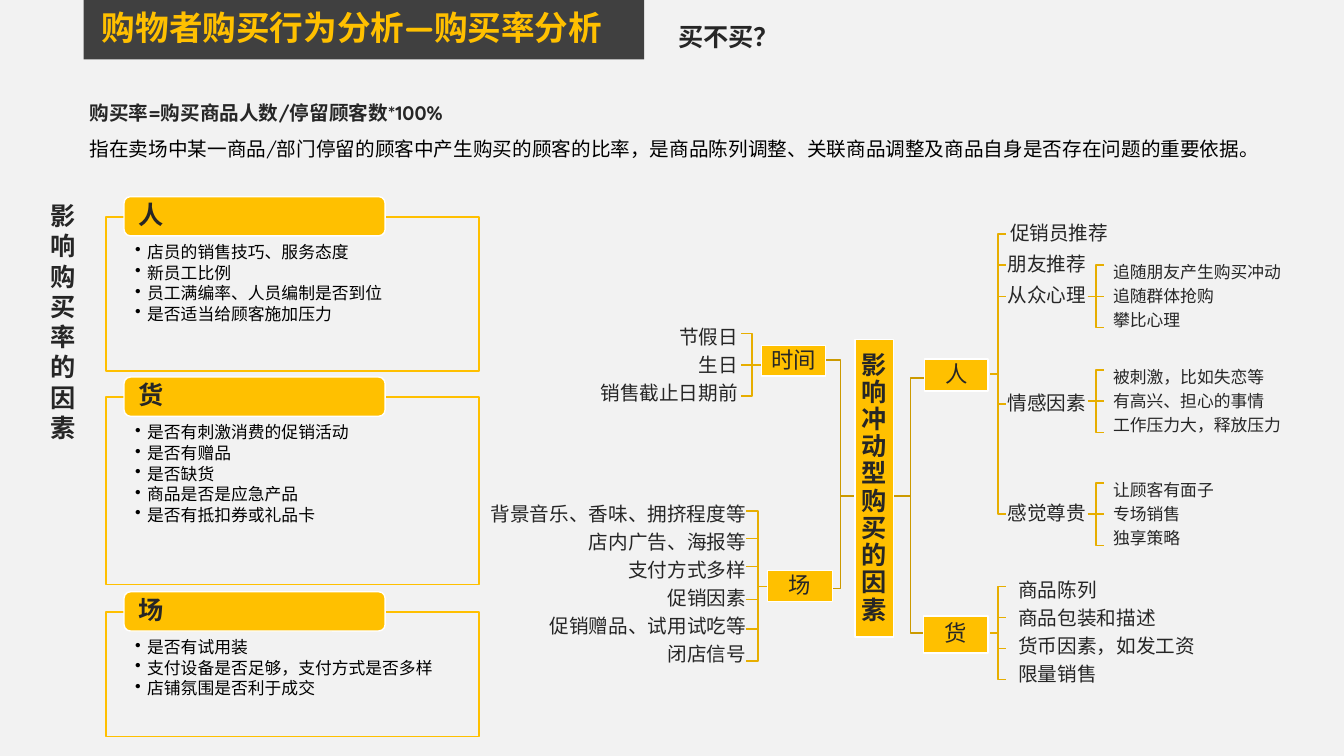
from dataclasses import dataclass

import pptx
import pptx.dml.color
import pptx.enum.shapes
import pptx.enum.text
import pptx.oxml
import pptx.oxml.ns
import pptx.util

ALIGN = pptx.enum.text.PP_ALIGN
ANCHOR = pptx.enum.text.MSO_ANCHOR
SHAPE = pptx.enum.shapes.MSO_SHAPE


@dataclass(frozen=True)
class Theme:
    font: str = "Quicksand"
    back: str = "F2F2F2"
    bar: str = "404040"
    gold: str = "FFC000"
    link: str = "CC9A00"
    twig: str = "E7AE00"
    white: str = "FFFFFF"
    ink: str = "262626"
    black: str = "000000"
    title: int = 24
    head: int = 18
    node: int = 16
    leaf: int = 14
    note: int = 12
    cell: float = 0.1  # inches per column and per row
    pad: tuple = (1, 0.5, 1, 0.5)
    slim: tuple = (0.1, 0.1, 0.1, 0.1)


def rgb(code):
    return pptx.dml.color.RGBColor.from_string(code)


class Board:
    def __init__(self, deck, theme):
        self.theme = theme
        self.slide = deck.slides.add_slide(deck.slide_layouts[5])
        self.shapes = self.slide.shapes
        fill = self.slide.background.fill
        fill.solid()
        fill.fore_color.rgb = rgb(theme.back)

    def size(self, *cells):
        """Turn columns or rows into lengths."""
        return [pptx.util.Inches(c * self.theme.cell) for c in cells]

    def label(self, shape, lines, size, bold=False, color=None, align=ALIGN.LEFT,
              anchor=ANCHOR.MIDDLE, pad=None, lead=0.9, after=0.35):
        """Set the lines; after is the gap below each as a share of the type size."""
        frame = shape.text_frame
        frame.word_wrap = True
        frame.vertical_anchor = anchor
        (frame.margin_left, frame.margin_top, frame.margin_right,
         frame.margin_bottom) = self.size(*(pad or self.theme.slim))
        frame.text = "\n".join(lines)
        for para in frame.paragraphs:
            para.alignment = align
            para.line_spacing = lead
            para.space_after = pptx.util.Pt(size * after)
            for run in para.runs:
                self.style(run, size, bold, color or self.theme.ink)
        return shape

    def style(self, run, size, bold, color):
        font = run.font
        font.size, font.bold = pptx.util.Pt(size), bold
        font.color.rgb = rgb(color)
        font.name = self.theme.font
        latin = run._r.rPr.find(pptx.oxml.ns.qn("a:latin"))
        latin.addnext(latin.makeelement(pptx.oxml.ns.qn("a:ea"),
                                        {"typeface": self.theme.font}))

    def text(self, at, lines, size, **look):
        return self.label(self.shapes.add_textbox(*self.size(*at)), lines, size, **look)

    def box(self, at, fill, line=None, width=1, kind=SHAPE.RECTANGLE):
        shape = self.shapes.add_shape(kind, *self.size(*at))
        shape.shadow.inherit = False
        shape.fill.solid()
        shape.fill.fore_color.rgb = rgb(fill)
        if line:
            shape.line.color.rgb = rgb(line)
            shape.line.width = pptx.util.Pt(width)
        else:
            shape.line.fill.background()
        return shape

    def title(self, at, text):
        shape = self.shapes.title
        shape.left, shape.top, shape.width, shape.height = self.size(*at)
        return self.label(shape, [text], self.theme.title, bold=True,
                          color=self.theme.gold, anchor=ANCHOR.TOP,
                          pad=self.theme.pad, after=0)

    def node(self, at, text, size, bold=False):
        shape = self.box(at, self.theme.gold, self.theme.white)
        return self.label(shape, [text], size, bold=bold, align=ALIGN.CENTER)

    def card(self, top, high, name, points, width):
        """Draw a frame of bullet points with a tag on its upper edge."""
        look = self.theme
        frame = self.box((10.5, top, 37, high), look.back, look.gold, width)
        self.label(frame, points, look.note, color=look.black, anchor=ANCHOR.TOP,
                   pad=(2.9, 2.7, 2.9, 0.9), after=0.15)
        dent = self.size(1.2)[0]
        for para in frame.text_frame.paragraphs:
            props = para._p.get_or_add_pPr()
            props.set("marL", str(dent))
            props.set("indent", str(-dent))
            mark = pptx.oxml.ns.qn("a:buChar")
            props.append(props.makeelement(mark, {"char": "•"}))
        tag = self.box((12.3, top - 2, 25.9, 3.9), look.gold, look.white,
                       kind=SHAPE.ROUNDED_RECTANGLE)
        self.label(tag, [name], look.head, bold=True, pad=(1.2, 0.2, 1.2, 0.2))

    def fork(self, x, y, end, rows, color, owner=None):
        """Branch from (x, y) to each row; owner is the box a straight twig joins."""
        mid = (x + end) / 2
        for row in rows:
            if row == y:
                line = self.shapes.add_connector(
                    pptx.enum.shapes.MSO_CONNECTOR.STRAIGHT, *self.size(x, y, end, y))
                if owner is not None:
                    line.begin_connect(owner, 3)
            else:
                elbow = self.shapes.build_freeform(*self.size(x, y))
                elbow.add_line_segments(
                    [self.size(*p) for p in ((mid, y), (mid, row), (end, row))], close=False)
                line = elbow.convert_to_shape()
                line.fill.background()
                line.shadow.inherit = False
            line.line.color.rgb = rgb(color)
            line.line.width = pptx.util.Pt(1)
            if row == y:
                props = line._element.spPr
                props.append(props.makeelement(pptx.oxml.ns.qn("a:effectLst")))


CARDS = [
    (21.5, 15.3, 1.5, "人", ["店员的销售技巧、服务态度", "新员工比例",
                           "员工满编率、人员编制是否到位", "是否适当给顾客施加压力"]),
    (39.4, 18.6, 1, "货", ["是否有刺激消费的促销活动", "是否有赠品", "是否缺货",
                         "商品是否是应急产品", "是否有抵扣券或礼品卡"]),
    (60.7, 12.4, 1, "场", ["是否有试用装", "支付设备是否足够，支付方式是否多样",
                         "店铺氛围是否利于成交"]),
]
PEOPLE = [
    (23.2, 10.5, "促销员推荐", []),
    (26.3, 8.1, "朋友推荐", []),
    (29.4, 8.1, "从众心理", ["追随朋友产生购买冲动", "追随群体抢购", "攀比心理"]),
    (40.1, 8.1, "情感因素", ["被刺激，比如失恋等", "有高兴、担心的事情", "工作压力大，释放压力"]),
    (51, 8.1, "感觉尊贵", ["让顾客有面子", "专场销售", "独享策略"]),
]
GOODS = ["商品陈列", "商品包装和描述", "货币因素，如发工资", "限量销售"]
TIMES = ["节假日", "生日", "销售截止日期前"]
PLACE = ["背景音乐、香味、拥挤程度等", "店内广告、海报等", "支付方式多样", "促销因素",
         "促销赠品、试用试吃等", "闭店信号"]


def main():
    deck = pptx.Presentation()
    deck.slide_width, deck.slide_height = pptx.util.Inches(13.33), pptx.util.Inches(7.5)
    look = Theme()
    board = Board(deck, look)

    title = board.title((9.1, 0.6, 59.5, 5), "购物者购买行为分析—购买率分析")
    bar = board.box((8.3, 0, 55.6, 5.9), look.bar)
    title._element.addprevious(bar._element)
    plain = dict(anchor=ANCHOR.TOP, pad=look.pad, after=0)
    board.text((66.3, 1.6, 13.6, 4), ["买不买？"], look.head, bold=True, lead=1, **plain)
    intro = board.text((7.9, 8.4, 123.8, 8.1), [
        "购买率=购买商品人数/停留顾客数*100%",
        "指在卖场中某一商品/部门停留的顾客中产生购买的顾客的比率，"
        "是商品陈列调整、关联商品调整及商品自身是否存在问题的重要依据。",
    ], look.leaf, color=look.black, lead=1.5, **plain)
    lead = intro.text_frame.paragraphs[0].runs[0].font
    lead.bold, lead.color.rgb = True, rgb(look.ink)
    board.text((4, 19.4, 5.3, 25.2), ["影响购买率的因素"], look.head, bold=True,
               lead=1, **plain)
    for top, high, width, name, points in CARDS:
        board.card(top, high, name, points, width)

    board.fork(84.8, 49.2, 81.9, [35.7, 58.4], look.link)
    board.fork(88.6, 49.2, 92, [37.5, 62.8], look.link)
    board.fork(98.2, 37.1, 99.8, [row for row, *_ in PEOPLE], look.twig)
    board.fork(98.2, 62.8, 99.8, [58.2 + 3.07 * i for i in range(4)], look.twig)
    board.fork(75.7, 36.2, 73.5, [33.1, 36.2, 39.3], look.twig)
    board.fork(76.4, 58.2, 74, [50.7, 53.4, 56.2, 59.5, 62.4, 65.6], look.twig)

    board.node((84.8, 33.7, 3.8, 29.5), "影响冲动型购买的因素", look.head, bold=True)
    for at, name in [((91.7, 35.6, 6.3, 3.2), "人"), ((91.6, 61.1, 6.4, 3.7), "货"),
                     ((75.5, 34.3, 6.4, 3), "时间"), ((76.1, 56.6, 6.5, 3.1), "场")]:
        board.node(at, name, look.node)

    for row, wide, name, notes in PEOPLE:
        leaf = board.text((99.8, row - 1.25, wide, 2.5), [name], look.leaf,
                          align=ALIGN.CENTER)
        if notes:
            hub = 39.8 if name == "情感因素" else row
            board.fork(107.9, hub, 109.5, [hub - 3.1, hub, hub + 3.1], look.twig,
                       leaf if hub == row else None)
            board.text((110.3, hub - 3.6, 20.8, 7.4), notes, look.note)
    board.text((100.9, 57.6, 20.8, 10.4), GOODS, look.leaf)
    board.text((59.3, 32.2, 14, 8.3), TIMES, look.leaf, align=ALIGN.RIGHT)
    board.text((48, 49.1, 26.1, 17.9), PLACE, look.leaf, align=ALIGN.RIGHT)
    deck.save("out.pptx")


if __name__ == "__main__":
    main()
